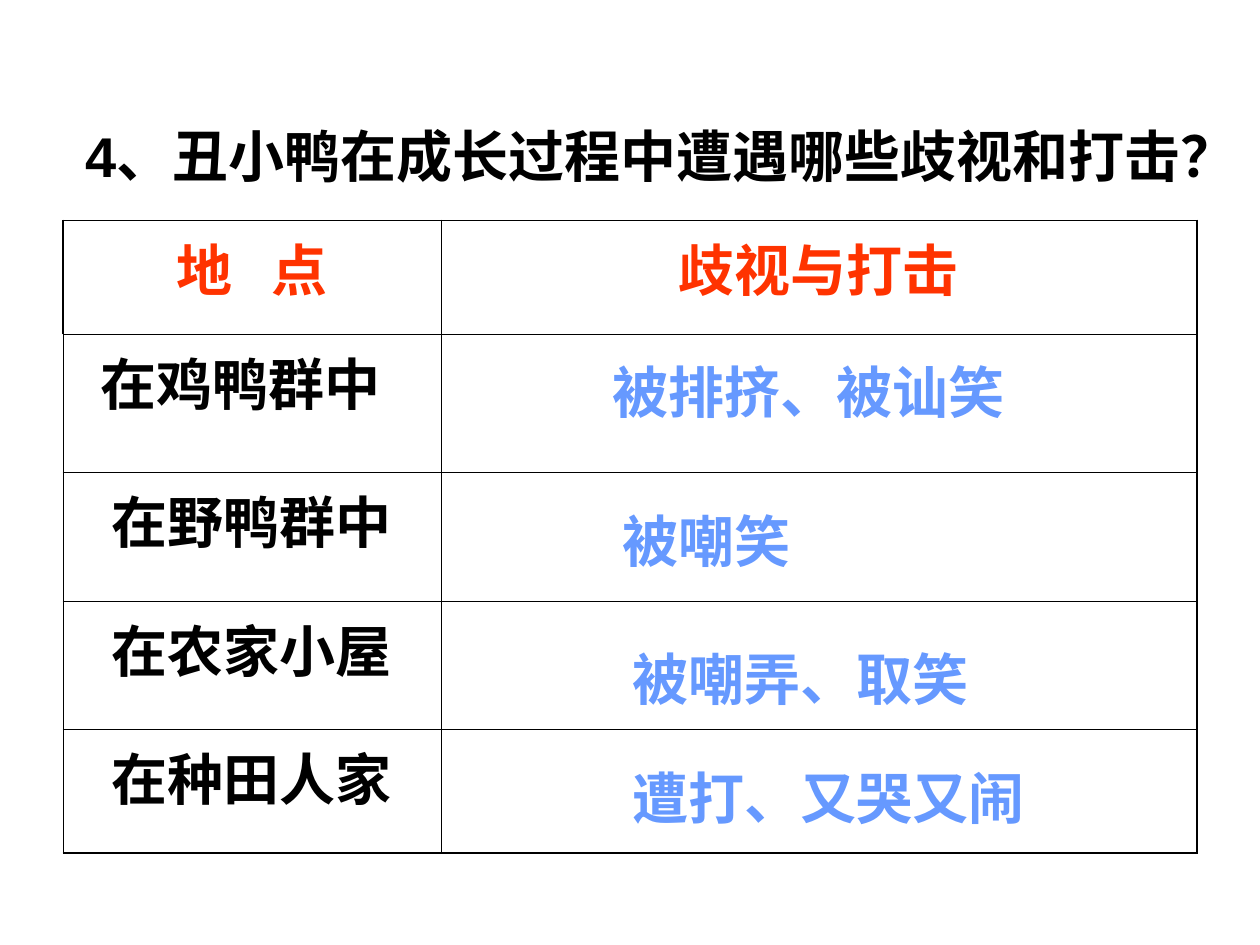
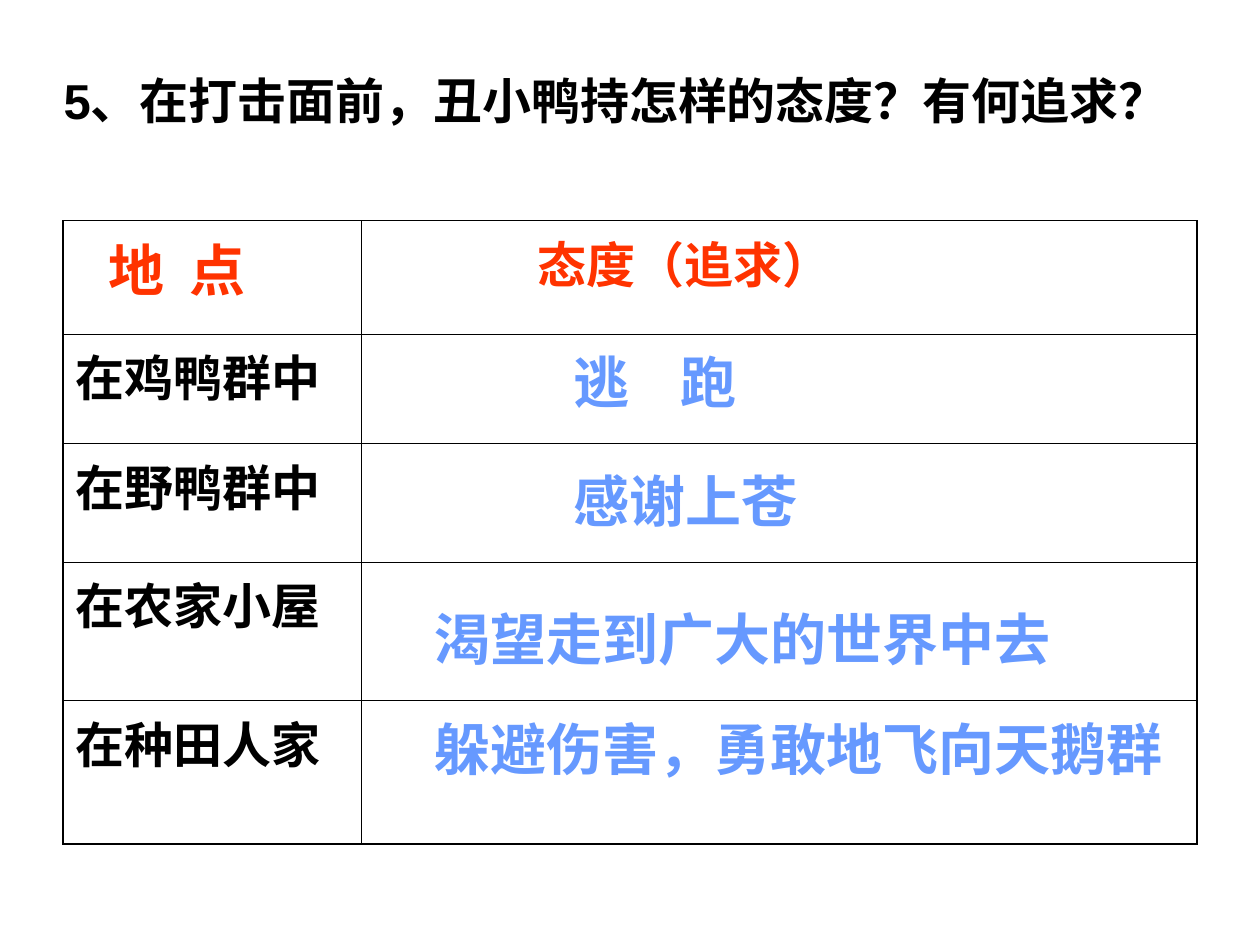
from lxml.etree import SubElement
from pptx import Presentation
from pptx.dml.color import RGBColor
from pptx.enum.lang import MSO_LANGUAGE_ID
from pptx.enum.text import MSO_ANCHOR, MSO_AUTO_SIZE, PP_ALIGN
from pptx.oxml.ns import qn
from pptx.util import Inches, Pt

COLS, ROWS = 10, 7.5
UNIT = Inches(1)  # one grid column or row
INK = {"text": "000000", "head": "FF3300", "reply": "6699FF", "line": "000000"}
THIN, THICK = 0.45, 1.08
FORMAT = {"name": "Arial", "bold": True,
          "language_id": MSO_LANGUAGE_ID.SIMPLIFIED_CHINESE}
CENTER, LEFT = PP_ALIGN.CENTER, PP_ALIGN.LEFT
TABLE = (0.5, 1.75)
PLACES = ["在鸡鸭群中", "在野鸭群中", "在农家小屋", "在种田人家"]


def grid(*parts):
    return [round(part * UNIT) for part in parts]


def write(frame, text, ink, size=32, align=LEFT, gap=0):
    """Fill the first paragraph; gap is the letter spacing in points."""
    para = frame.paragraphs[0]
    para.alignment = align
    run = para.add_run()
    run.text = text
    for key, value in {**FORMAT, "size": Pt(size)}.items():
        setattr(run.font, key, value)
    run.font.color.rgb = RGBColor.from_string(INK[ink])
    if gap:
        run.font._element.set("spc", str(round(gap * 100)))


def add_title(slide, box, text, size, anchor):
    title = slide.shapes.title
    title.left, title.top, title.width, title.height = grid(*box)
    frame = title.text_frame
    frame.auto_size = MSO_AUTO_SIZE.NONE
    frame.word_wrap = True
    frame.vertical_anchor = anchor
    write(frame, text, "text", size, CENTER)


def add_edge(cell, side, width):
    line = SubElement(cell._tc.get_or_add_tcPr(), qn(f"a:ln{side}"),
                      w=str(Pt(width)))
    fill = SubElement(line, qn("a:solidFill"))
    SubElement(fill, qn("a:srgbClr"), val=INK["line"])


def add_table(slide, cols, rows, heads, places, heavy):
    """Draw the table; heavy names the side, T or L, that is thick throughout."""
    box = grid(*TABLE, sum(cols), sum(rows))
    table = slide.shapes.add_table(len(rows), len(cols), *box).table
    table.first_row = table.horz_banding = False
    for col, width in zip(table.columns, grid(*cols)):
        col.width = width
    for row, height in zip(table.rows, grid(*rows)):
        row.height = height
    for r in range(len(rows)):
        for c in range(len(cols)):
            cell = table.cell(r, c)
            thick = {"L": c == 0 and (r == 0 or heavy == "L"),
                     "R": c == len(cols) - 1,
                     "T": r == 0 and heavy == "T",
                     "B": r == len(rows) - 1}
            for side, bold in thick.items():
                add_edge(cell, side, THICK if bold else THIN)
            cell.fill.background()
    cells = [table.cell(0, c) for c in range(len(cols))]
    cells += [table.cell(r, 0) for r in range(1, len(rows))]
    for cell, (inset, style) in zip(cells, heads + places):
        cell.margin_left = Inches(inset)
        write(cell.text_frame, **style)


def add_replies(slide, replies):
    """Lay the answers over the table, placed from its top left corner."""
    for text, x, y, width, gap in replies:
        box = grid(TABLE[0] + x, TABLE[1] + y, width, 0.64)
        frame = slide.shapes.add_textbox(*box).text_frame
        frame.word_wrap = True
        frame.vertical_anchor = MSO_ANCHOR.MIDDLE
        frame.margin_top = 0
        write(frame, text, "reply", gap=gap)


def add_page(deck, title, table, replies):
    slide = deck.slides.add_slide(deck.slide_layouts[5])
    add_title(slide, **title)
    add_table(slide, **table)
    add_replies(slide, replies)


def place_cells(first, rest, size, align):
    """Style the place names; the first one may have its own inset and side."""
    styles = [first] + [(rest, align)] * (len(PLACES) - 1)
    return [(inset, dict(text=text, ink="text", size=size, align=side))
            for text, (inset, side) in zip(PLACES, styles)]


def main():
    deck = Presentation()
    deck.slide_width, deck.slide_height = grid(COLS, ROWS)
    add_page(
        deck,
        dict(box=(0.5, 0.3, 9.5, 1.25), size=32, anchor=MSO_ANCHOR.BOTTOM,
             text="4、丑小鸭在成长过程中遭遇哪些歧视和打击？"),
        dict(cols=[3, 6], rows=[0.9, 1.1, 1.02, 1.02, 0.98], heavy="T",
             heads=[(0.1, dict(text="地 点", ink="head", align=CENTER, gap=7.4)),
                    (0.1, dict(text="歧视与打击", ink="head", align=CENTER))],
             places=place_cells((0.3, LEFT), 0.1, 32, CENTER)),
        [("被排挤、被讪笑", 4.26, 1.06, 3.7, 0),
         ("被嘲笑", 4.34, 2.24, 3.31, 0),
         ("被嘲弄、取笑", 4.42, 3.34, 3.62, 0),
         ("遭打、又哭又闹", 4.42, 4.28, 4.02, 0)])
    add_page(
        deck,
        dict(box=(0.27, 0.52, 9.23, 0.55), size=28, anchor=MSO_ANCHOR.MIDDLE,
             text="5、在打击面前，丑小鸭持怎样的态度？有何追求？"),
        dict(cols=[2.37, 6.63], rows=[0.9, 0.87, 0.94, 1.1, 1.14], heavy="L",
             heads=[(0.36, dict(text="地 点", ink="head", gap=3.7)),
                    (1.4, dict(text="态度（追求）", ink="head", size=28))],
             places=place_cells((0.1, LEFT), 0.1, 28, LEFT)),
        [("逃 跑", 3.95, 0.98, 2.91, 11),
         ("感谢上苍", 3.95, 1.92, 2.52, 0),
         ("渴望走到广大的世界中去", 2.85, 3.02, 5.83, 0),
         ("躲避伤害，勇敢地飞向天鹅群", 2.85, 3.89, 6.22, 0)])
    deck.save("out.pptx")


if __name__ == "__main__":
    main()
